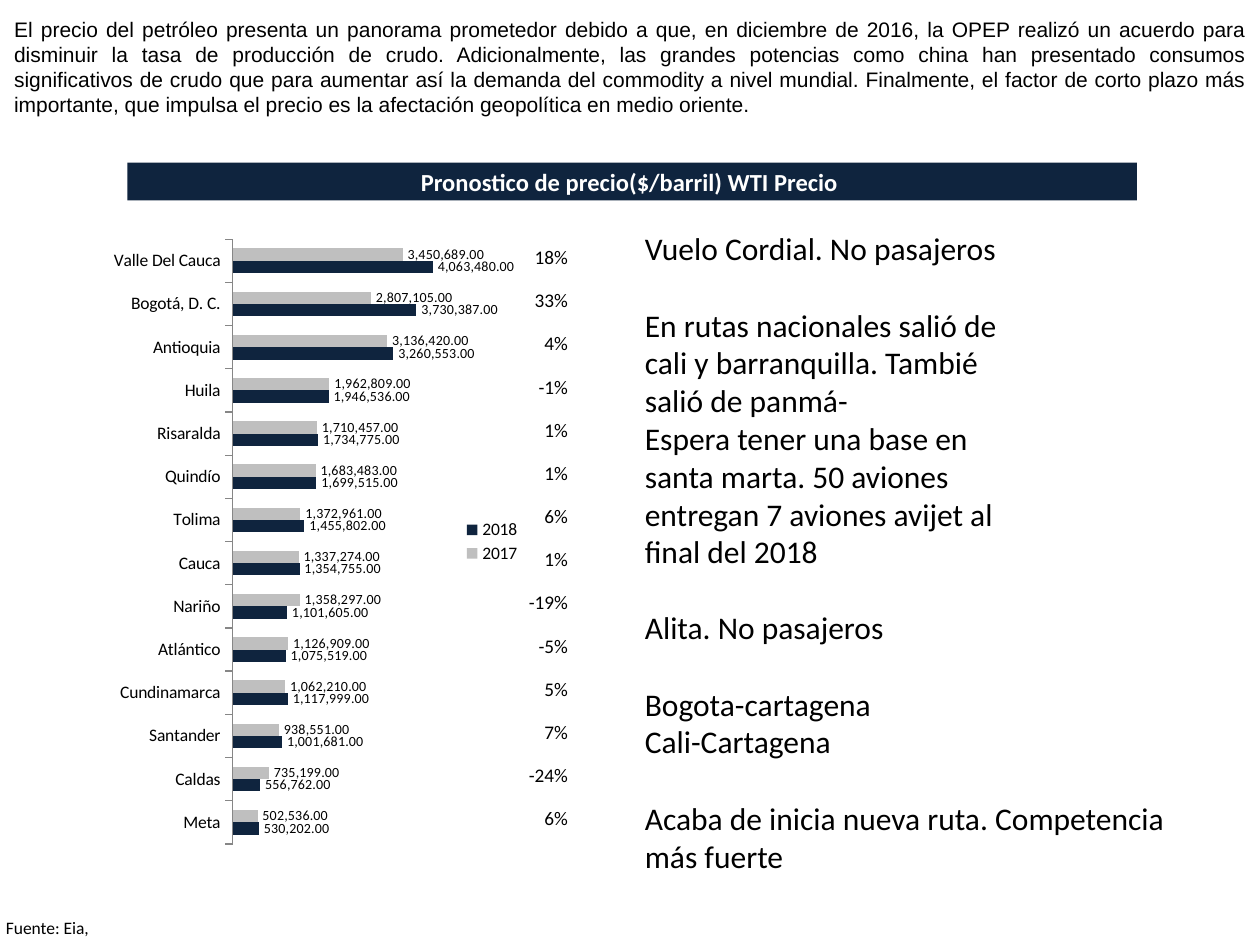
"""Build the oil price and passenger slide."""
from dataclasses import dataclass

from lxml.etree import fromstring
from pptx import Presentation
from pptx.chart.data import CategoryChartData as ChartData
from pptx.dml.color import RGBColor as Rgb
from pptx.enum.chart import XL_CHART_TYPE as Kind
from pptx.enum.chart import XL_LABEL_POSITION as Spot
from pptx.enum.chart import XL_LEGEND_POSITION as Side
from pptx.enum.chart import XL_TICK_MARK as Tick
from pptx.enum.shapes import MSO_SHAPE as Form
from pptx.enum.text import MSO_ANCHOR as Anchor
from pptx.enum.text import MSO_AUTO_SIZE as Fit
from pptx.enum.text import PP_ALIGN as Align
from pptx.util import Cm, Pt


@dataclass(frozen=True)
class Theme:
    """Colours, fonts and type sizes."""
    black: Rgb = Rgb(0, 0, 0)
    white: Rgb = Rgb(255, 255, 255)
    navy: Rgb = Rgb(0x0F, 0x24, 0x3E)
    grey: Rgb = Rgb(0xBF, 0xBF, 0xBF)
    rule: Rgb = Rgb(0x86, 0x86, 0x86)
    face: str = "Calibri"
    head: str = "Arial"
    lead: int = 12
    band: int = 14
    note: int = 18
    cell: int = 11
    small: int = 10
    tag: int = 8


THEME = Theme()
SPACE = "http://schemas.openxmlformats.org/drawingml/2006/"
PLAIN = "{2D5ABB26-0587-4C30-8999-92F81FD0307C}"
LEAD = (
    "El precio del petróleo presenta un panorama prometedor debido a que, en diciembre de 2016, "
    "la OPEP realizó un acuerdo para disminuir la tasa de producción de crudo. Adicionalmente, "
    "las grandes potencias como china han presentado consumos significativos de crudo que para "
    "aumentar así la demanda del commodity a nivel mundial. Finalmente, el factor de corto plazo "
    "más importante, que impulsa el precio es la afectación geopolítica en medio oriente."
)
ROWS = [
    ("Valle Del Cauca", 3450689, 4063480, "18%"),
    ("Bogotá, D. C.", 2807105, 3730387, "33%"),
    ("Antioquia", 3136420, 3260553, "4%"),
    ("Huila", 1962809, 1946536, "-1%"),
    ("Risaralda", 1710457, 1734775, "1%"),
    ("Quindío", 1683483, 1699515, "1%"),
    ("Tolima", 1372961, 1455802, "6%"),
    ("Cauca", 1337274, 1354755, "1%"),
    ("Nariño", 1358297, 1101605, "-19%"),
    ("Atlántico", 1126909, 1075519, "-5%"),
    ("Cundinamarca", 1062210, 1117999, "5%"),
    ("Santander", 938551, 1001681, "7%"),
    ("Caldas", 735199, 556762, "-24%"),
    ("Meta", 502536, 530202, "6%"),
]
NOTES = [
    ((12.75, 4.5, 8.13, 7.19), [
        ["Vuelo Cordial. No pasajeros"],
        ["En rutas nacionales salió de cali y barranquilla. Tambié salió de panmá-",
         "Espera tener una base en santa marta. 50 aviones entregan 7 aviones avijet al final del 2018"],
    ]),
    ((12.75, 12.14, 11.3, 5.64), [
        ["Alita. No pasajeros"],
        ["Bogota-cartagena", "Cali-Cartagena"],
        ["Acaba de inicia nueva ruta. Competencia más fuerte"],
    ]),
]


def area(*box):
    """Turn centimetres into lengths."""
    return [Cm(side) for side in box]


def style(font, size, color=THEME.black, face=THEME.face, bold=False):
    """Set the look of a font."""
    font.size, font.name, font.bold = Pt(size), face, bold
    font.color.rgb = color


def write(line, text, size, align=Align.LEFT, **look):
    """Fill a paragraph and format its run."""
    line.text, line.alignment = text, align
    style(line.runs[0].font, size, **look)


def add_lead(slide):
    """Place the opening text in the title."""
    title = slide.shapes.title
    title.left, title.top, title.width, title.height = area(0.03, 0.1, 25.37, 2.49)
    frame = title.text_frame
    frame.auto_size, frame.vertical_anchor = Fit.NONE, Anchor.MIDDLE
    write(frame.paragraphs[0], LEAD, THEME.lead, Align.JUSTIFY, face=THEME.head)


def add_band(slide, text, box):
    """Draw the dark heading bar."""
    band = slide.shapes.add_shape(Form.RECTANGLE, *area(*box))
    band.shadow.inherit = False
    band.fill.solid()
    band.fill.fore_color.rgb = THEME.navy
    band.line.fill.background()
    band.text_frame.vertical_anchor = Anchor.MIDDLE
    write(band.text_frame.paragraphs[0], text, THEME.band, Align.CENTER,
          color=THEME.white, bold=True)


def add_note(slide, box, groups, size, wrap=True):
    """Write groups of lines with a gap between groups."""
    frame = slide.shapes.add_textbox(*area(*box)).text_frame
    frame.word_wrap = wrap
    lines = [(text, row == 0 and rank > 0)
             for rank, group in enumerate(groups) for row, text in enumerate(group)]
    for rank, (text, gap) in enumerate(lines):
        line = frame.add_paragraph() if rank else frame.paragraphs[0]
        write(line, text, size)
        if gap:
            line.space_before = Pt(22)


def lay_out(part, x, y, w, h, inner=False):
    """Pin a chart part to fractions of the chart."""
    target = '<c:layoutTarget val="inner"/>' if inner else ""
    sizes = "".join(f'<c:{key} val="{size}"/>' for key, size in zip("xywh", (x, y, w, h)))
    node = fromstring(
        f'<c:layout xmlns:c="{SPACE}chart"><c:manualLayout>{target}<c:xMode val="edge"/>'
        f'<c:yMode val="edge"/>{sizes}</c:manualLayout></c:layout>')
    for old in part.findall(f"{{{SPACE}chart}}layout"):
        part.remove(old)
    part.insert(0 if inner else 1, node)


def add_bars(slide, box):
    """Chart the passengers of both years."""
    data = ChartData()
    data.categories = [row[0] for row in ROWS]
    for rank, year in enumerate(("2017", "2018"), 1):
        data.add_series(year, [row[rank] for row in ROWS])
    chart = slide.shapes.add_chart(Kind.BAR_CLUSTERED, *area(*box), data).chart
    style(chart.font, THEME.small)
    chart.has_title = False
    chart.has_legend = True
    chart.legend.position, chart.legend.include_in_layout = Side.RIGHT, False
    cats, vals = chart.category_axis, chart.value_axis
    cats.reverse_order, cats.major_tick_mark = True, Tick.OUTSIDE
    cats.format.line.color.rgb = THEME.rule
    vals.visible, vals.has_major_gridlines = False, False
    vals.minimum_scale, vals.maximum_scale = 0, 5000000
    plot = chart.plots[0]
    plot.gap_width, plot.overlap, plot.vary_by_categories = 150, 0, False
    for bars, color in zip(plot.series, (THEME.grey, THEME.navy)):
        bars.format.fill.solid()
        bars.format.fill.fore_color.rgb = color
        tags = bars.data_labels
        tags.show_value, tags.position = True, Spot.OUTSIDE_END
        tags.number_format, tags.number_format_is_linked = "#,##0.00", False
        style(tags.font, THEME.tag)
    lay_out(plot._element.getparent(), 0.3, 0.02, 0.57, 0.96, inner=True)
    lay_out(chart.legend._element, 0.82, 0.46, 0.16, 0.08)


def clear(cell):
    """Leave a cell without fill or borders."""
    cell.fill.background()
    for rank, edge in enumerate("LRTB"):
        cell._tc.tcPr.insert(rank, fromstring(
            f'<a:ln{edge} xmlns:a="{SPACE}main" w="0"><a:noFill/></a:ln{edge}>'))


def add_rates(slide, box):
    """List the change of each region in a table."""
    table = slide.shapes.add_table(len(ROWS), 1, *area(*box)).table
    table.first_row = table.horz_banding = False
    table._tbl.tblPr.find(f"{{{SPACE}main}}tableStyleId").text = PLAIN
    for rank, row in enumerate(ROWS):
        cell = table.cell(rank, 0)
        clear(cell)
        cell.margin_left = cell.margin_right = cell.margin_top = Cm(0.03)
        cell.margin_bottom = 0
        cell.vertical_anchor = Anchor.BOTTOM
        write(cell.text_frame.paragraphs[0], row[3], THEME.cell, Align.RIGHT)


def main():
    """Assemble and save the slide."""
    deck = Presentation()
    deck.slide_width, deck.slide_height = area(25.4, 19.05)
    slide = deck.slides.add_slide(deck.slide_layouts[5])
    add_lead(slide)
    add_note(slide, (-0.13, 18.36, 2.21, 0.69), [["Fuente: Eia,"]], THEME.small, wrap=False)
    add_band(slide, "Pronostico de precio($/barril) WTI Precio ", (2.57, 3.28, 20.35, 0.76))
    for box, groups in NOTES:
        add_note(slide, box, groups, THEME.note)
    add_bars(slide, (2.08, 4.57, 8.71, 12.7))
    add_rates(slide, (10.24, 4.57, 1.24, 12.19))
    deck.save("out.pptx")


if __name__ == "__main__":
    main()
